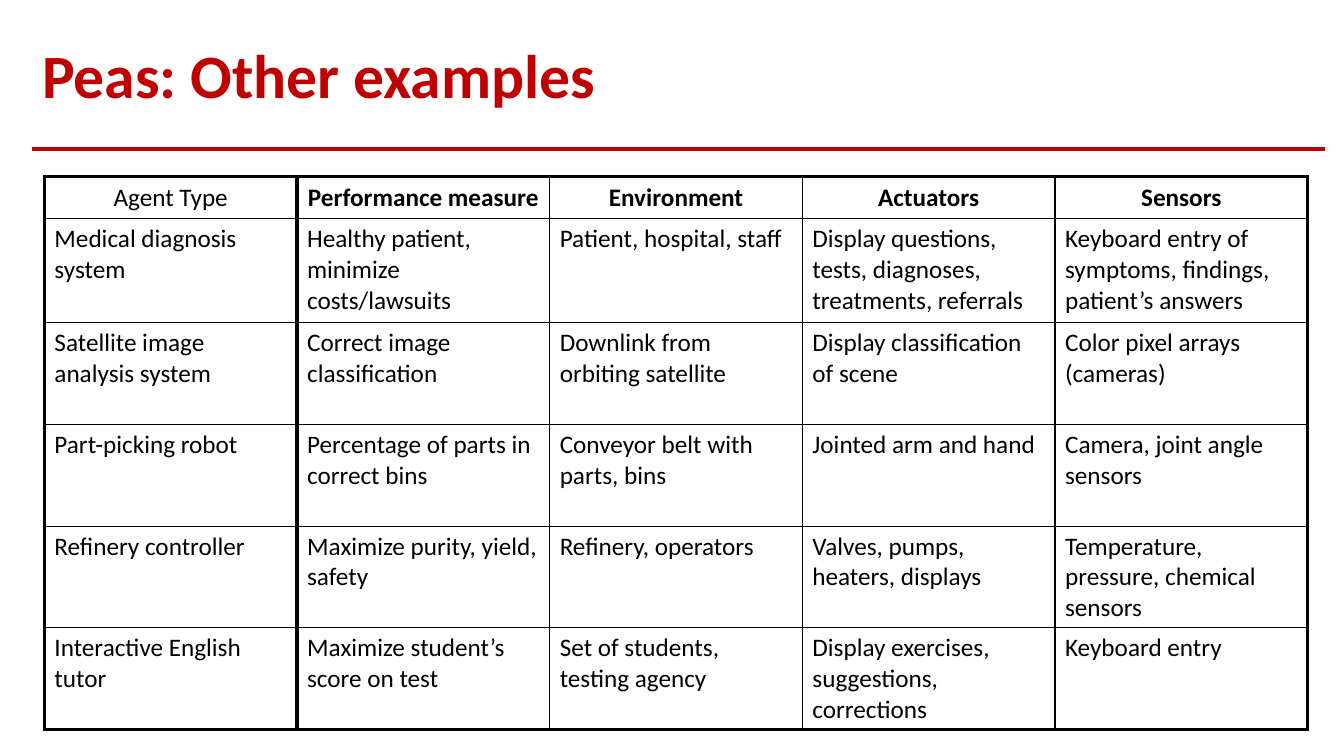
import pptx
import pptx.util
import pptx.dml.color
import pptx.enum.shapes
import pptx.enum.text
from lxml import etree

TITLE = "Peas: Other examples"
HEADER = ["Agent Type", "Performance measure", "Environment", "Actuators", "Sensors"]
AGENTS = [
    ["Medical diagnosis system", "Healthy patient, minimize costs/lawsuits", "Patient, hospital, staff",
     "Display questions, tests, diagnoses, treatments, referrals",
     "Keyboard entry of symptoms, findings, patient’s answers"],
    ["Satellite image analysis system", "Correct image classification", "Downlink from orbiting satellite",
     "Display classification of scene", "Color pixel arrays (cameras)"],
    ["Part-picking robot", "Percentage of parts in correct bins", "Conveyor belt with parts, bins",
     "Jointed arm and hand", "Camera, joint angle sensors"],
    ["Refinery controller", "Maximize purity, yield, safety", "Refinery, operators",
     "Valves, pumps, heaters, displays", "Temperature, pressure, chemical sensors"],
    ["Interactive English tutor", "Maximize student’s score on test", "Set of students, testing agency",
     "Display exercises, suggestions, corrections", "Keyboard entry"],
]

COLORS = {"title": "C00000", "text": "000000", "border": "000000"}
FONT = "Calibri"
WIDTH, HEIGHT = 13.33, 7.5
MARGIN, TITLE_TOP, TITLE_WIDTH, TITLE_HEIGHT = 0.32, 0.28, 12.82, 1
RULE_TOP = 1.48
TABLE_LEFT, TABLE_TOP, TABLE_WIDTH = 0.44, 1.75, 12.53
ROW_HEIGHTS = [0.42, 1.03] + [1.01] * (len(AGENTS) - 1)
THIN, OUTER, DIVIDER = 1, 2.25, 3

inches = pptx.util.Inches
ALIGN = pptx.enum.text.PP_ALIGN
ANCHOR = pptx.enum.text.MSO_ANCHOR


def color(name):
    return pptx.dml.color.RGBColor.from_string(COLORS[name])


def write(frame, text, size=18, tint="text", bold=False, align=ALIGN.LEFT, spacing=None):
    frame.word_wrap = True
    paragraph = frame.paragraphs[0]
    paragraph.alignment = align
    paragraph.line_spacing = spacing
    run = paragraph.add_run()
    run.text = text
    run.font.name = FONT
    run.font.size = pptx.util.Pt(size)
    run.font.bold = bold
    run.font.color.rgb = color(tint)


def draw_borders(cell, widths):
    properties = cell._tc.get_or_add_tcPr()
    for side, width in widths.items():
        line = etree.SubElement(properties, pptx.oxml.ns.qn(f"a:ln{side}"), w=str(pptx.util.Pt(width)))
        fill = etree.SubElement(line, pptx.oxml.ns.qn("a:solidFill"))
        etree.SubElement(fill, pptx.oxml.ns.qn("a:srgbClr"), val=COLORS["border"])


def add_title(slide):
    box = slide.shapes.add_textbox(*map(inches, (MARGIN, TITLE_TOP, TITLE_WIDTH, TITLE_HEIGHT)))
    box.text_frame.vertical_anchor = ANCHOR.MIDDLE
    write(box.text_frame, TITLE, size=44, tint="title", bold=True, spacing=0.9)


def add_rule(slide):
    ends = (MARGIN, RULE_TOP, MARGIN + TITLE_WIDTH, RULE_TOP)
    rule = slide.shapes.add_connector(pptx.enum.shapes.MSO_CONNECTOR.STRAIGHT, *map(inches, ends))
    rule.line.color.rgb = color("title")
    rule.line.width = pptx.util.Pt(2.5)
    etree.SubElement(rule._element.spPr, pptx.oxml.ns.qn("a:effectLst"))


def add_agent_table(slide):
    rows = [HEADER] + AGENTS
    last_row, last_column = len(rows) - 1, len(HEADER) - 1
    area = (TABLE_LEFT, TABLE_TOP, TABLE_WIDTH, sum(ROW_HEIGHTS))
    table = slide.shapes.add_table(len(rows), len(HEADER), *map(inches, area)).table
    table.first_row = table.horz_banding = False
    for row, height in zip(table.rows, ROW_HEIGHTS):
        row.height = inches(height)
    for r, texts in enumerate(rows):
        for c, text in enumerate(texts):
            cell = table.cell(r, c)
            is_header = r == 0
            cell.vertical_anchor = ANCHOR.MIDDLE if is_header else ANCHOR.TOP
            write(cell.text_frame, text, bold=is_header and c > 0,
                  align=ALIGN.CENTER if is_header else ALIGN.LEFT)
            draw_borders(cell, {
                "L": {0: OUTER, 1: DIVIDER}.get(c, THIN),
                "R": {0: DIVIDER, last_column: OUTER}.get(c, THIN),
                "T": OUTER if is_header else THIN,
                "B": OUTER if r == last_row else THIN,
            })
            cell.fill.background()


def main():
    presentation = pptx.Presentation()
    presentation.slide_width, presentation.slide_height = inches(WIDTH), inches(HEIGHT)
    slide = presentation.slides.add_slide(presentation.slide_layouts[6])
    add_rule(slide)
    add_title(slide)
    add_agent_table(slide)
    presentation.save("out.pptx")


if __name__ == "__main__":
    main()
